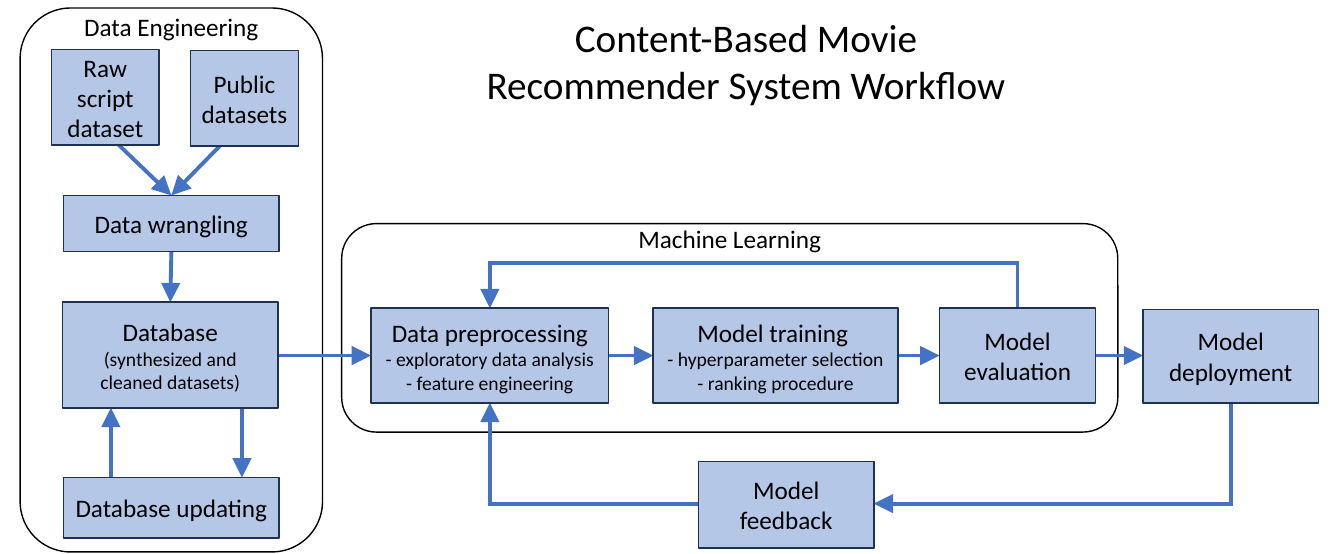
import pptx
import pptx.util
import pptx.dml.color
import pptx.enum.shapes
import pptx.enum.text
import pptx.oxml.ns
import lxml.etree

Inches, Pt = pptx.util.Inches, pptx.util.Pt
SHAPE = pptx.enum.shapes.MSO_SHAPE
ANCHOR = pptx.enum.text.MSO_ANCHOR
BLACK, WHITE, PALE, NAVY, BLUE = "000000", "FFFFFF", "B4C7E7", "1E3256", "4472C4"

# Content: places are left, top, width, height in inches
TITLE = ("Content-Based Movie Recommender System Workflow", (4.49, 0.08, 5.82, 1.04))
STAGES = [
    ("Data Engineering", (0.2, 0.08, 3, 5.4), 0.06),
    ("Machine Learning", (3.39, 2.22, 7.7, 2.07), 2.17),
]
# Each step: heading lines, detail lines, place
STEPS = {
    "raw": (["Raw script dataset"], [], (0.51, 0.49, 1.07, 0.95)),
    "public": (["Public datasets"], [], (1.89, 0.5, 1.07, 0.95)),
    "wrangling": (["Data wrangling"], [], (0.63, 1.94, 2.14, 0.56)),
    "database": (["Database"], ["(synthesized and cleaned datasets)"], (0.62, 3, 2.14, 1.05)),
    "updating": (["Database updating"], [], (0.63, 4.74, 2.14, 0.6)),
    "preprocessing": (["Data preprocessing"],
                      ["- exploratory data analysis", "- feature engineering"],
                      (3.68, 3.06, 2.36, 0.94)),
    "training": (["Model training "],
                 ["- hyperparameter selection", "- ranking procedure"],
                 (6.48, 3.06, 2.43, 0.94)),
    "evaluation": (["Model evaluation"], [], (9.32, 3.06, 1.55, 0.94)),
    "deployment": (["Model", "deployment"], [], (11.34, 3.07, 1.74, 0.93)),
    "feedback": (["Model feedback"], [], (6.93, 4.58, 1.74, 0.86)),
}
ROW = ["database", "preprocessing", "training", "evaluation", "deployment"]
ROW_Y, RETURN_Y, FEEDBACK_Y = 3.53, 2.61, 5.0


def edge(name, side):
    """Middle point of one side of a step."""
    left, top, width, height = STEPS[name][2]
    return {
        "left": (left, top + height / 2),
        "right": (left + width, top + height / 2),
        "top": (left + width / 2, top),
        "bottom": (left + width / 2, top + height),
    }[side]


def across(start, end):
    """Level arrow between two neighbours in the main row."""
    return [(edge(start, "right")[0], ROW_Y), (edge(end, "left")[0], ROW_Y)]


# Routes: each is a list of points with the arrowhead at the last one
hub = edge("wrangling", "top")
prep_x = edge("preprocessing", "top")[0]
evaluation_x = edge("evaluation", "top")[0]
deployment_x = edge("deployment", "bottom")[0]
database_bottom = edge("database", "bottom")[1]
updating_top = edge("updating", "top")[1]
ROUTES = [
    [(1.19, 1.45), hub],
    [(2.19, 1.44), hub],
    [edge("wrangling", "bottom"), edge("database", "top")],
    [(1.1, updating_top), (1.1, database_bottom)],
    [(2.4, database_bottom), (2.4, updating_top)],
    *[across(start, end) for start, end in zip(ROW, ROW[1:])],
    [edge("evaluation", "top"), (evaluation_x, RETURN_Y),
     (prep_x, RETURN_Y), edge("preprocessing", "top")],
    [edge("deployment", "bottom"), (deployment_x, FEEDBACK_Y),
     (edge("feedback", "right")[0], FEEDBACK_Y)],
    [(edge("feedback", "left")[0], FEEDBACK_Y), (prep_x, FEEDBACK_Y),
     edge("preprocessing", "bottom")],
]


def color(value):
    return pptx.dml.color.RGBColor.from_string(value)


def inches(values):
    return [Inches(value) for value in values]


def write(holder, lines, anchor):
    """Fill a shape with centred (text, size) lines."""
    frame = holder.text_frame
    settings = {"word_wrap": True, "vertical_anchor": anchor,
                "auto_size": pptx.enum.text.MSO_AUTO_SIZE.NONE}
    for name, value in settings.items():
        setattr(frame, name, value)
    for index, (text, size) in enumerate(lines):
        para = frame.add_paragraph() if index else frame.paragraphs[0]
        para.alignment = pptx.enum.text.PP_ALIGN.CENTER
        para.line_spacing = 1.0
        span = para.add_run()
        span.text = text
        for name, value in {"name": "Calibri", "size": Pt(size)}.items():
            setattr(span.font, name, value)
        span.font.color.rgb = color(BLACK)


def add_box(kind, place, fill, line):
    box = page.shapes.add_shape(kind, *inches(place))
    box.shadow.inherit = False
    box.fill.solid()
    box.fill.fore_color.rgb = color(fill)
    box.line.color.rgb = color(line)
    box.line.width = Pt(1)
    return box


def add_segment(start, end, arrow):
    segment = page.shapes.add_connector(
        pptx.enum.shapes.MSO_CONNECTOR.STRAIGHT, *inches(start + end))
    segment.line.color.rgb = color(BLUE)
    segment.line.width = Pt(2.75)
    qn = pptx.oxml.ns.qn
    properties = segment._element.spPr
    outline = properties.find(qn("a:ln"))
    outline.set("cap", "sq")
    if arrow:
        lxml.etree.SubElement(outline, qn("a:tailEnd"), type="triangle", w="lg", len="lg")
    lxml.etree.SubElement(properties, qn("a:effectLst"))


deck = pptx.Presentation()
deck.slide_width = Inches(40 / 3)
deck.slide_height = Inches(5.5)
page = deck.slides.add_slide(deck.slide_layouts[5])

# Title
text, place = TITLE
title = page.shapes.title
for name, value in zip(("left", "top", "width", "height"), inches(place)):
    setattr(title, name, value)
write(title, [(text, 28)], ANCHOR.TOP)

# Stage frames and their labels
for text, place, label_top in STAGES:
    add_box(SHAPE.ROUNDED_RECTANGLE, place, WHITE, BLACK)
    label = page.shapes.add_textbox(*inches((place[0], label_top, place[2], 0.4)))
    write(label, [(text, 18)], ANCHOR.TOP)

# Routes, then the steps beside their ends
for route in ROUTES:
    for start, end in zip(route, route[1:]):
        add_segment(start, end, end == route[-1])
for headings, details, place in STEPS.values():
    box = add_box(SHAPE.RECTANGLE, place, PALE, NAVY)
    write(box, [(text, 18) for text in headings] + [(text, 14) for text in details],
          ANCHOR.MIDDLE)

deck.save("out.pptx")
